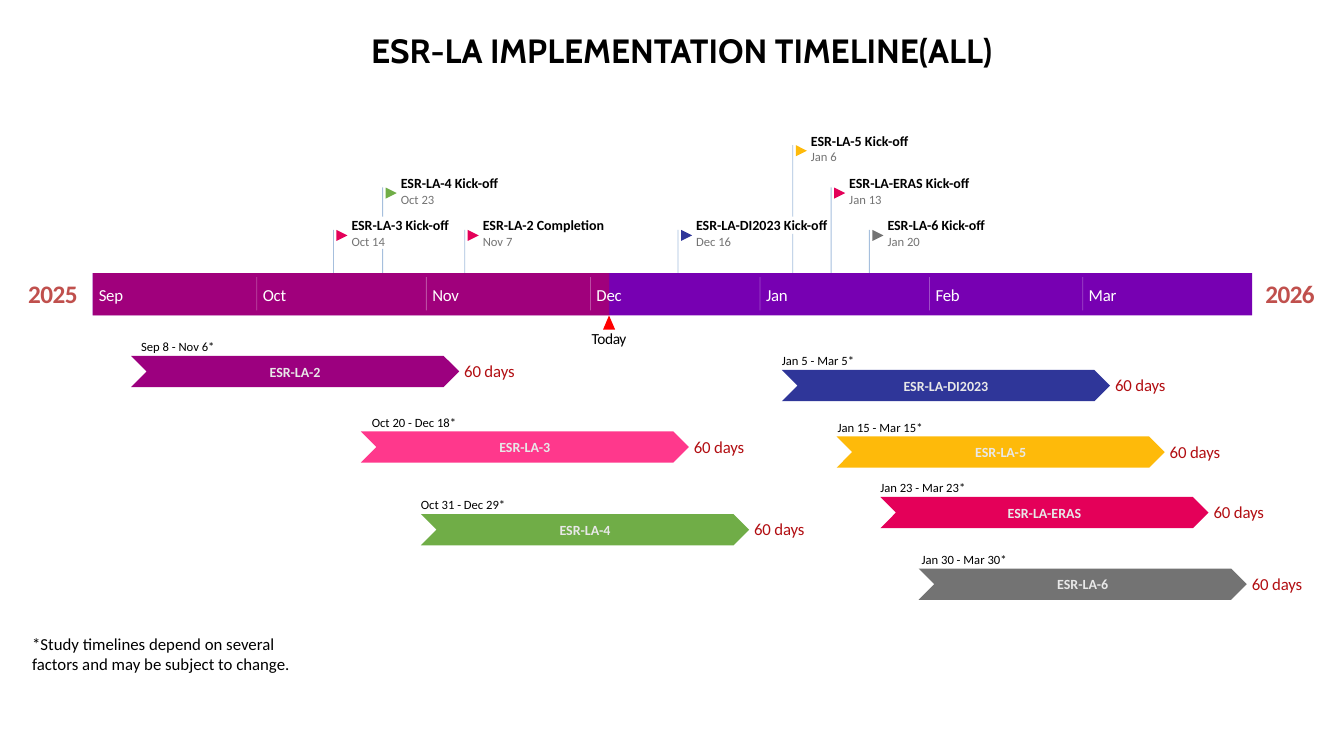
"""Build the ESR-LA implementation timeline slide."""
from lxml import etree
from pptx import Presentation
from pptx.dml.color import RGBColor
from pptx.enum import shapes, text
from pptx.oxml import ns
from pptx.util import Inches, Pt

BLACK = RGBColor(0x00, 0x00, 0x00)
WHITE = RGBColor(0xFF, 0xFF, 0xFF)
PALE = RGBColor(0xE8, 0xE8, 0xE8)
GRAY = RGBColor(0x73, 0x73, 0x73)
RED = RGBColor(0xFF, 0x00, 0x00)
DARK_RED = RGBColor(0xB2, 0x0E, 0x12)
BRICK = RGBColor(0xC0, 0x50, 0x4D)
BLUE = RGBColor(0x4F, 0x81, 0xBD)
VIOLET = RGBColor(0x77, 0x00, 0xB2)
PURPLE = RGBColor(0x9C, 0x00, 0x7F)
PINK = RGBColor(0xFF, 0x38, 0x8C)
GREEN = RGBColor(0x70, 0xAD, 0x47)
INDIGO = RGBColor(0x2F, 0x36, 0x99)
YELLOW = RGBColor(0xFE, 0xBA, 0x0A)
CRIMSON = RGBColor(0xE4, 0x00, 0x59)

TITLE = "ESR-LA IMPLEMENTATION TIMELINE(ALL)"
NOTE = "*Study timelines depend on several factors and may be subject to change."
YEARS = [("2025", 0.28), ("2026", 12.55)]
MONTH_STARTS = {"Sep": 0, "Oct": 30, "Nov": 61, "Dec": 91,
                "Jan": 122, "Feb": 153, "Mar": 181}
TOTAL_DAYS = 212
TODAY = 94.4

# name, date, level above the band, colour, gap in the stem
MILESTONES = [
    ("ESR-LA-3 Kick-off", "Oct 14", 0, CRIMSON, None),
    ("ESR-LA-4 Kick-off", "Oct 23", 1, GREEN, (2.15, 2.47)),
    ("ESR-LA-2 Completion", "Nov 7", 0, CRIMSON, None),
    ("ESR-LA-DI2023 Kick-off", "Dec 16", 0, INDIGO, None),
    ("ESR-LA-5 Kick-off", "Jan 6", 2, YELLOW, (2.15, 2.32)),
    ("ESR-LA-ERAS Kick-off", "Jan 13", 1, CRIMSON, None),
    ("ESR-LA-6 Kick-off", "Jan 20", 0, GRAY, None),
]
# name, first day, last day, top, colour, indent of the dates
STUDIES = [
    ("ESR-LA-2", "Sep 8", "Nov 6", 3.53, PURPLE, 0.1),
    ("ESR-LA-3", "Oct 20", "Dec 18", 4.28, PINK, 0.11),
    ("ESR-LA-4", "Oct 31", "Dec 29", 5.1, GREEN, 0),
    ("ESR-LA-DI2023", "Jan 5", "Mar 5", 3.67, INDIGO, 0),
    ("ESR-LA-5", "Jan 15", "Mar 15", 4.33, YELLOW, 0.01),
    ("ESR-LA-ERAS", "Jan 23", "Mar 23", 4.93, CRIMSON, 0),
    ("ESR-LA-6", "Jan 30", "Mar 30", 5.64, GRAY, 0.03),
]
STUDY_DAYS = 60
BAND_LEFT, BAND_TOP, BAND_WIDTH, BAND_HEIGHT = 0.92, 2.71, 11.5, 0.42
BAND_BOTTOM = BAND_TOP + BAND_HEIGHT
BAR_HEIGHT = 0.31
FLAG = 0.11

presentation = Presentation()
presentation.slide_width = Inches(13.33)
presentation.slide_height = Inches(7.5)
slide = presentation.slides.add_slide(presentation.slide_layouts[5])


def day_x(days):
    return BAND_LEFT + days * BAND_WIDTH / TOTAL_DAYS


def day_number(date):
    month, day = date.split()
    return MONTH_STARTS[month] + int(day)


def set_alpha(element, percent):
    color = next(element.iter(ns.qn("a:srgbClr")))
    etree.SubElement(color, ns.qn("a:alpha")).set("val", str(percent * 1000))


def write(shape, words, size, color, bold=False, align=text.PP_ALIGN.LEFT,
          spacing=0, font="Calibri", margin=0, anchor=text.MSO_ANCHOR.MIDDLE):
    frame = shape.text_frame
    frame.text = words
    frame.word_wrap = True
    frame.auto_size = text.MSO_AUTO_SIZE.NONE
    frame.vertical_anchor = anchor
    frame.margin_left = frame.margin_right = Inches(margin)
    frame.margin_top = frame.margin_bottom = Inches(margin / 2)
    paragraph = frame.paragraphs[0]
    paragraph.alignment = align
    paragraph.font.name = font
    paragraph.font.size = Pt(size)
    paragraph.font.bold = bold
    paragraph.font.color.rgb = color
    if spacing:
        properties = paragraph._p.get_or_add_pPr().get_or_add_defRPr()
        properties.set("spc", str(spacing))


def add_label(words, left, top, width, height, size, color, **style):
    box = slide.shapes.add_textbox(Inches(left), Inches(top), Inches(width), Inches(height))
    write(box, words, size, color, **style)


def add_shape(kind, left, top, width, height, color):
    shape = slide.shapes.add_shape(kind, Inches(left), Inches(top), Inches(width), Inches(height))
    shape.shadow.inherit = False
    shape.fill.solid()
    shape.fill.fore_color.rgb = color
    shape.line.fill.background()
    return shape


def add_vertical(x, top, bottom, color, alpha):
    line = slide.shapes.add_connector(shapes.MSO_CONNECTOR.STRAIGHT, Inches(x), Inches(top),
                                      Inches(x), Inches(bottom))
    line.line.color.rgb = color
    line.line.width = Pt(0.6)
    set_alpha(line._element.spPr, alpha)
    etree.SubElement(line._element.spPr, ns.qn("a:effectLst"))


def add_band():
    kind = shapes.MSO_SHAPE.RECTANGLE
    add_shape(kind, BAND_LEFT, BAND_TOP, BAND_WIDTH, BAND_HEIGHT, VIOLET)
    today_x = day_x(TODAY)
    elapsed = add_shape(kind, BAND_LEFT, BAND_TOP, today_x - BAND_LEFT, BAND_HEIGHT, RED)
    set_alpha(elapsed._element.spPr, 30)
    add_shape(shapes.MSO_SHAPE.ISOSCELES_TRIANGLE, today_x - 0.06, BAND_BOTTOM, 0.12, 0.14, RED)
    add_label("Today", today_x - 0.25, 3.26, 0.5, 0.19, 11, BLACK,
              align=text.PP_ALIGN.CENTER, spacing=-30)
    for month, start in MONTH_STARTS.items():
        x = day_x(start)
        add_label(month, x + 0.06, 2.82, 0.4, 0.2, 12, WHITE, spacing=-20)
        if start:
            add_vertical(x, BAND_TOP + 0.04, BAND_BOTTOM - 0.05, WHITE, 30)
    for year, left in YEARS:
        add_label(year, left, 2.76, 0.49, 0.31, 18, BRICK, bold=True,
                  align=text.PP_ALIGN.CENTER, spacing=-40)


def add_milestone(name, date, level, color, gap):
    x = day_x(day_number(date))
    top = 2.28 - 0.42 * level
    stops = [top, *(gap or ()), BAND_TOP]
    for start, end in zip(stops[::2], stops[1::2]):
        add_vertical(x, start, end, BLUE, 50)
    flag = add_shape(shapes.MSO_SHAPE.FLOWCHART_MERGE, x + 0.03, top, FLAG, FLAG, color)
    flag.rotation = 270
    add_label(name, x + 0.18, top - 0.13, 1.4, 0.17, 10, BLACK, bold=True)
    add_label(date, x + 0.18, top + 0.04, 0.5, 0.15, 9, GRAY)


def add_study(name, first, last, top, color, indent):
    first_day = day_number(first) - 1
    left, right = day_x(first_day), day_x(first_day + STUDY_DAYS)
    bar = add_shape(shapes.MSO_SHAPE.CHEVRON, left, top, right - left, BAR_HEIGHT, color)
    write(bar, name, 10, PALE, bold=True, align=text.PP_ALIGN.CENTER)
    add_label(f"{first} - {last}*", left + indent, top - 0.17, 1.1, 0.16, 9, BLACK)
    add_label(f"{STUDY_DAYS} days", right + 0.05, top + 0.05, 0.6, 0.2, 12, DARK_RED, spacing=-10)


title = slide.shapes.title
title.left, title.top = Inches(3.58), Inches(0.25)
title.width, title.height = Inches(6.67), Inches(0.5)
write(title, TITLE, 24, BLACK, bold=True, font="Cabin", margin=0.1)
for milestone in MILESTONES:
    add_milestone(*milestone)
add_band()
for study in STUDIES:
    add_study(*study)
add_label(NOTE, 0.22, 6.24, 2.81, 0.81, 12, BLACK, margin=0.1, anchor=text.MSO_ANCHOR.TOP)
presentation.save("out.pptx")
